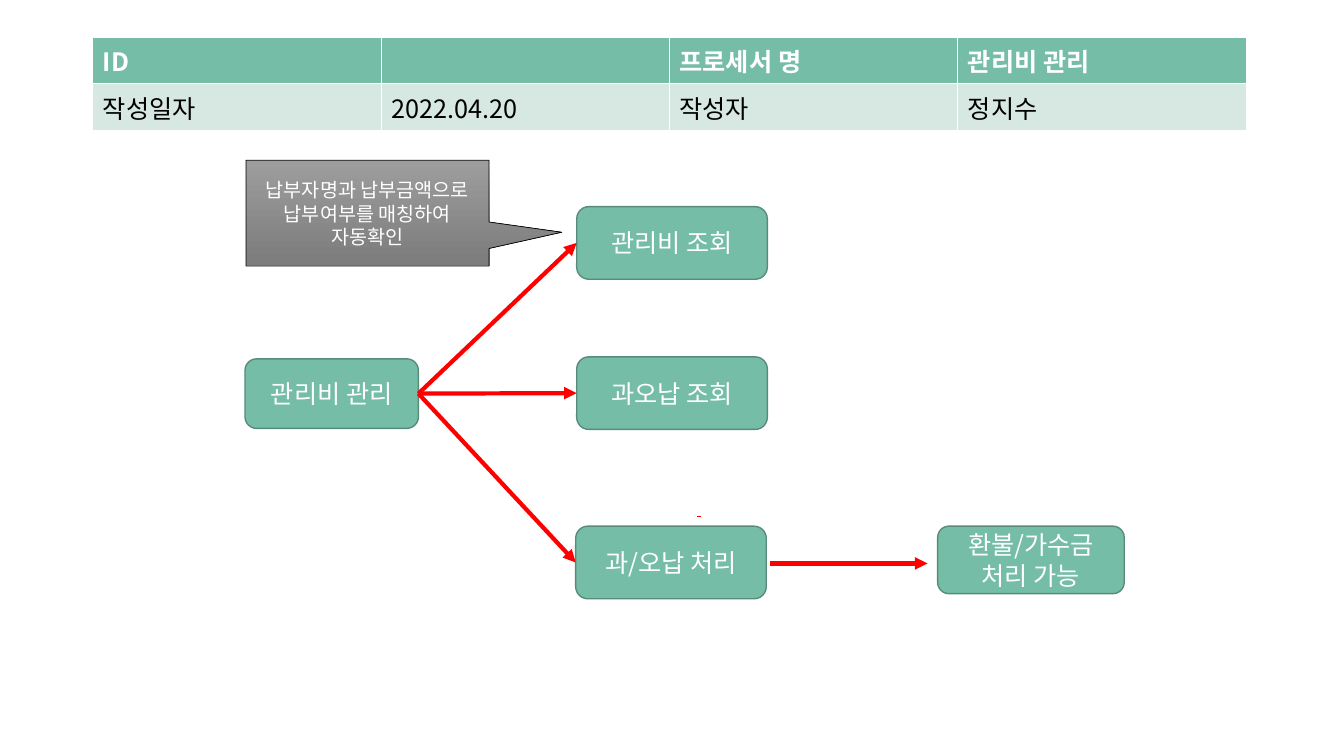
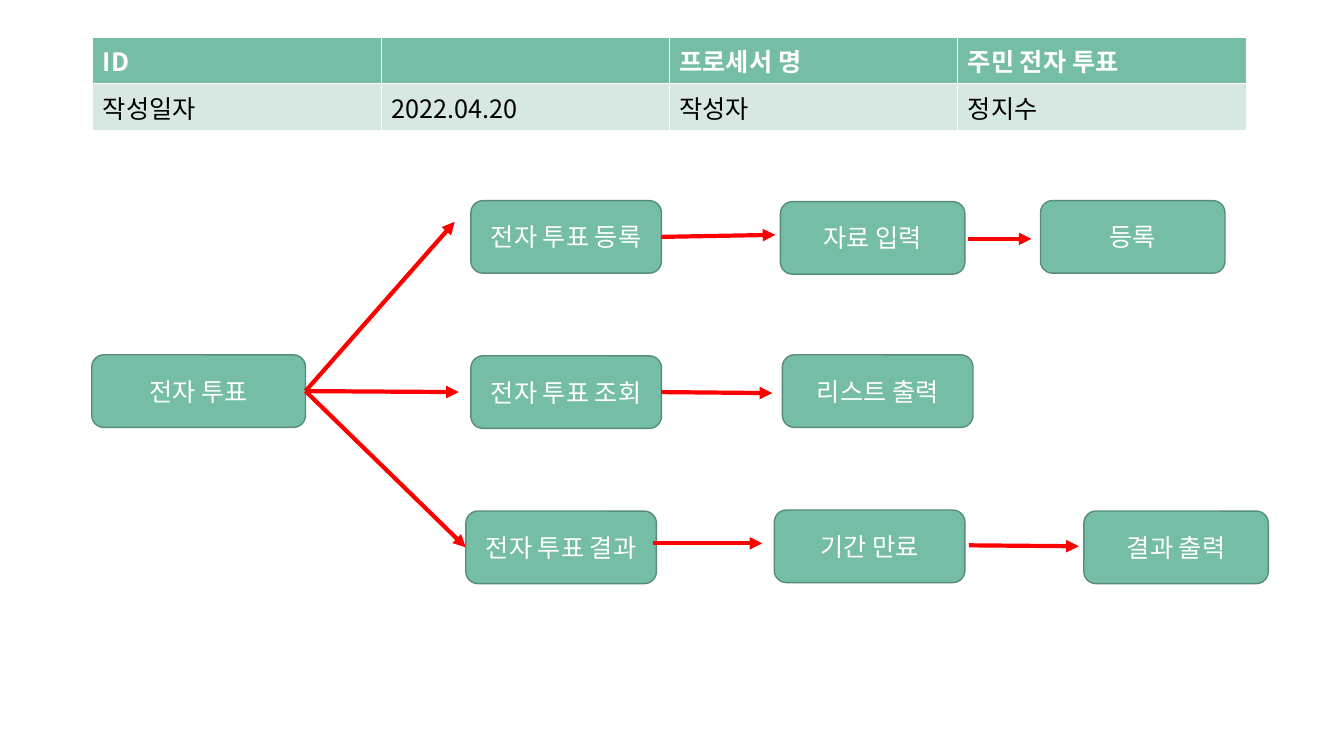
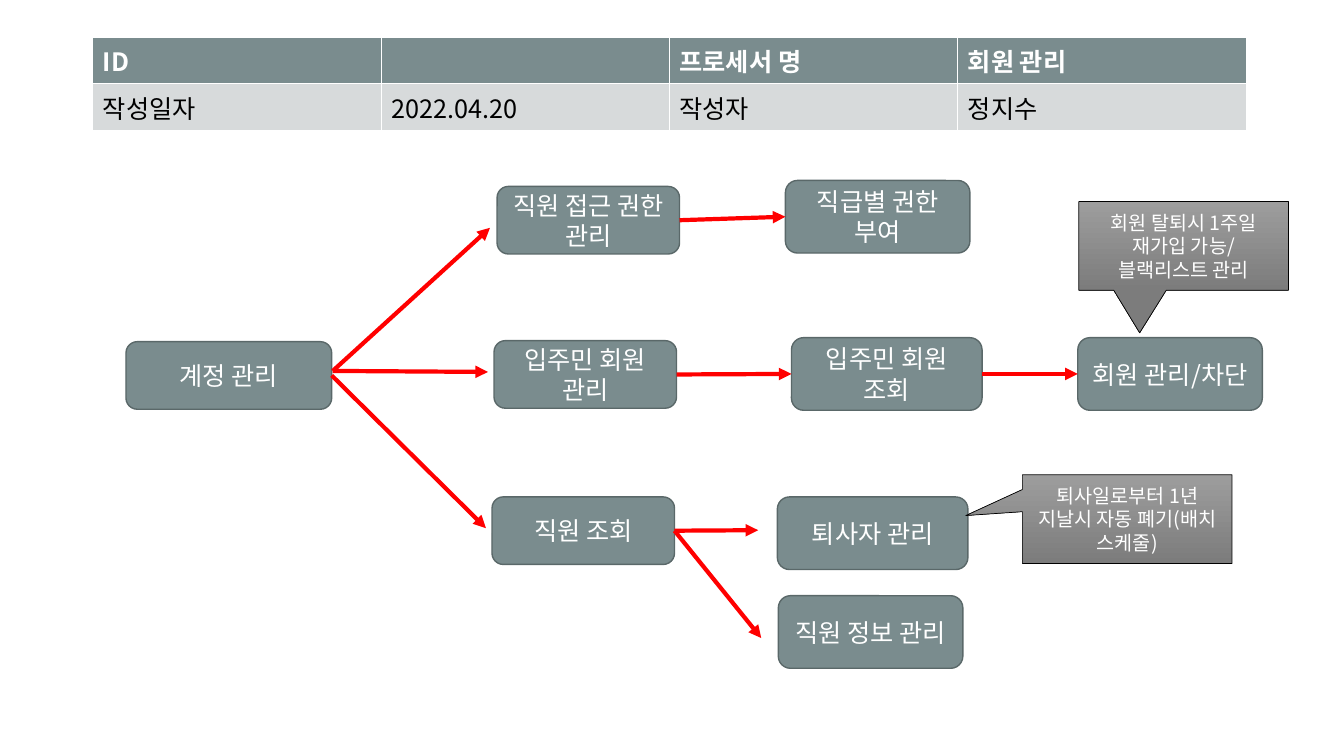
from lxml.etree import SubElement
from pptx import Presentation
from pptx.dml.color import RGBColor
from pptx.enum.shapes import MSO_CONNECTOR, MSO_SHAPE
from pptx.enum.text import MSO_ANCHOR, PP_ALIGN
from pptx.oxml.ns import qn
from pptx.util import Pt

PX = 9144  # EMU in one px, 100 px to the inch
FONT = "Noto Sans CJK KR"
WHITE, BLACK, RED = "FFFFFF", "000000", "FF0000"
GREEN = dict(main="75BDA7", edge="578C7C", pale="D6E8E1")
GREY = dict(main="7A8C8E", edge="5A6869", pale="D7DADB")
LEFT, RIGHT = 1, 3


def rgb(color):
    return RGBColor.from_string(color)


def px(*lengths):
    return [n * PX for n in lengths]


def write(tf, text, size=18, color=WHITE, bold=False, align=None):
    """Fill a text frame, one paragraph for each line of text."""
    tf.word_wrap = True
    for i, line in enumerate(text.split("\n")):
        p = tf.add_paragraph() if i else tf.paragraphs[0]
        p.alignment = align
        r = p.add_run()
        r.text = line
        r.font.name, r.font.size, r.font.bold = FONT, Pt(size), bold
        r.font.color.rgb = rgb(color)
        SubElement(r.font._element, qn("a:ea"), typeface=FONT)


def add_borders(cell, color=WHITE, width=1):
    tc_pr = cell._tc.get_or_add_tcPr()
    for side in "LRTB":
        ln = SubElement(tc_pr, qn(f"a:ln{side}"), w=str(Pt(width)))
        fill = SubElement(ln, qn("a:solidFill"))
        SubElement(fill, qn("a:srgbClr"), val=color)


class ProcessDeck:
    """Process charts, each with a heading table above boxes and arrows."""

    def __init__(self):
        self.prs = Presentation()
        self.prs.slide_width, self.prs.slide_height = px(1333, 750)

    def new_slide(self, process, palette):
        self.s = self.prs.slides.add_slide(self.prs.slide_layouts[6])
        self.palette = palette
        self.heading([["ID", "", "프로세서 명", process],
                      ["작성일자", "2022.04.20", "작성자", "정지수"]])

    def heading(self, rows):
        table = self.s.shapes.add_table(2, 4, *px(92, 37, 4 * 286, 84)).table
        for row, height in zip(table.rows, px(43, 41)):
            row.height = height
        styles = [(self.palette["main"], WHITE, True),
                  (self.palette["pale"], BLACK, False)]
        for i, (texts, (fill, color, bold)) in enumerate(zip(rows, styles)):
            for j, text in enumerate(texts):
                cell = table.cell(i, j)
                add_borders(cell)
                cell.fill.solid()
                cell.fill.fore_color.rgb = rgb(fill)
                if text:
                    write(cell.text_frame, text, color=color, bold=bold)

    def shape(self, kind, text, bounds, line, width, size):
        sp = self.s.shapes.add_shape(kind, *px(*bounds))
        sp.shadow.inherit = False
        sp.line.color.rgb = rgb(line)
        sp.line.width = Pt(width)
        sp.text_frame.vertical_anchor = MSO_ANCHOR.MIDDLE
        write(sp.text_frame, text, size=size, align=PP_ALIGN.CENTER)
        return sp

    def box(self, text, x, y, w=189, h=72):
        sp = self.shape(MSO_SHAPE.ROUNDED_RECTANGLE, text, (x, y, w, h),
                        self.palette["edge"], 1, 18)
        sp.fill.solid()
        sp.fill.fore_color.rgb = rgb(self.palette["main"])
        return sp

    def callout(self, text, x, y, w, h, tip):
        """Add a note; tip is the pointer's offset from the centre as shares of the size."""
        sp = self.shape(MSO_SHAPE.RECTANGULAR_CALLOUT, text, (x, y, w, h),
                        BLACK, 0.5, 14)
        sp.adjustments[0], sp.adjustments[1] = tip
        sp.fill.gradient()
        sp.fill.gradient_angle = 270
        for stop, color in zip(sp.fill.gradient_stops, ("9D9D9D", "7C7C7C")):
            stop.color.rgb = rgb(color)

    def arrow(self, start, end, head=True):
        """Draw from start to end, each a point or a box (left from its right side, met at its left)."""
        points = [p if isinstance(p, tuple) else (0, 0) for p in (start, end)]
        cxn = self.s.shapes.add_connector(
            MSO_CONNECTOR.STRAIGHT, *px(*points[0], *points[1]))
        if not isinstance(start, tuple):
            cxn.begin_connect(start, RIGHT)
        if not isinstance(end, tuple):
            cxn.end_connect(end, LEFT)
        cxn.line.color.rgb = rgb(RED)
        cxn.line.width = Pt(3)
        if head:
            SubElement(cxn.line._get_or_add_ln(), qn("a:tailEnd"), type="triangle")
        SubElement(cxn._element.spPr, qn("a:effectLst"))

    def arrows(self, *pairs):
        for start, end in pairs:
            self.arrow(start, end)


def fee_slide(deck):
    deck.new_slide("관리비 관리", GREEN)
    fees = deck.box("관리비 관리", 243, 356, 172, 69)
    fee_list = deck.box("관리비 조회", 572, 205)
    mispaid_list = deck.box("과오납 조회", 572, 354)
    mispaid = deck.box("과/오납 처리", 571, 522)
    deck.box("환불/가수금 처리 가능", 930, 522, 185, 67)
    deck.callout("납부자명과 납부금액으로 납부여부를 매칭하여 자동확인",
                 244, 159, 241, 105, (0.8, 0.18))
    deck.arrows((fees, fee_list), (fees, mispaid_list), (fees, mispaid),
                ((764, 559), (920, 559)))
    deck.arrow((693, 513), (693, 512), head=False)


def vote_slide(deck):
    deck.new_slide("주민 전자 투표", GREEN)
    vote = deck.box("전자 투표", 91, 352, 212)
    register = deck.box("전자 투표 등록", 467, 199)
    lookup = deck.box("전자 투표 조회", 467, 353)
    result = deck.box("전자 투표 결과", 462, 507)
    deck.box("자료 입력", 774, 200, 183)
    deck.box("등록", 1032, 199, 183)
    deck.box("리스트 출력", 776, 352)
    deck.box("기간 만료", 768, 506)
    deck.box("결과 출력", 1075, 507, 183)
    deck.arrows((vote, (451, 220)), (vote, (455, 389)), (vote, result),
                (register, (769, 233)), ((960, 237), (1023, 237)),
                (lookup, (766, 390)),
                ((648, 539), (756, 539)), ((961, 541), (1070, 542)))


def member_slide(deck):
    deck.new_slide("회원 관리", GREY)
    account = deck.box("계정 관리", 125, 339, 204, 67)
    access = deck.box("직원 접근 권한 관리", 493, 185, 181, 67)
    residents = deck.box("입주민 회원 관리", 490, 338, 181, 67)
    staff = deck.box("직원 조회", 488, 493, 181, 67)
    by_rank = deck.box("직급별 권한 부여", 779, 179, 183)
    resident_list = deck.box("입주민 회원 조회", 785, 335)
    deck.box("퇴사자 관리", 771, 493)
    deck.box("직원 정보 관리", 772, 591, 183)
    block = deck.box("회원 관리/차단", 1069, 335, 183)
    deck.arrows(((330, 368), (486, 226)), ((330, 368), (484, 369)),
                (account, (482, 524)),
                (staff, (752, 526)), (staff, (755, 633)),
                (residents, resident_list), (resident_list, block),
                (access, by_rank))
    deck.callout("회원 탈퇴시 1주일 재가입 가능/\n블랙리스트 관리",
                 1070, 200, 208, 88, (-0.21, 0.98))
    deck.callout("퇴사일로부터 1년 지날시 자동 폐기(배치 스케줄)",
                 1014, 471, 208, 88, (-0.77, -0.04))


def main():
    deck = ProcessDeck()
    for build in (fee_slide, vote_slide, member_slide):
        build(deck)
    deck.prs.save("out.pptx")


if __name__ == "__main__":
    main()
